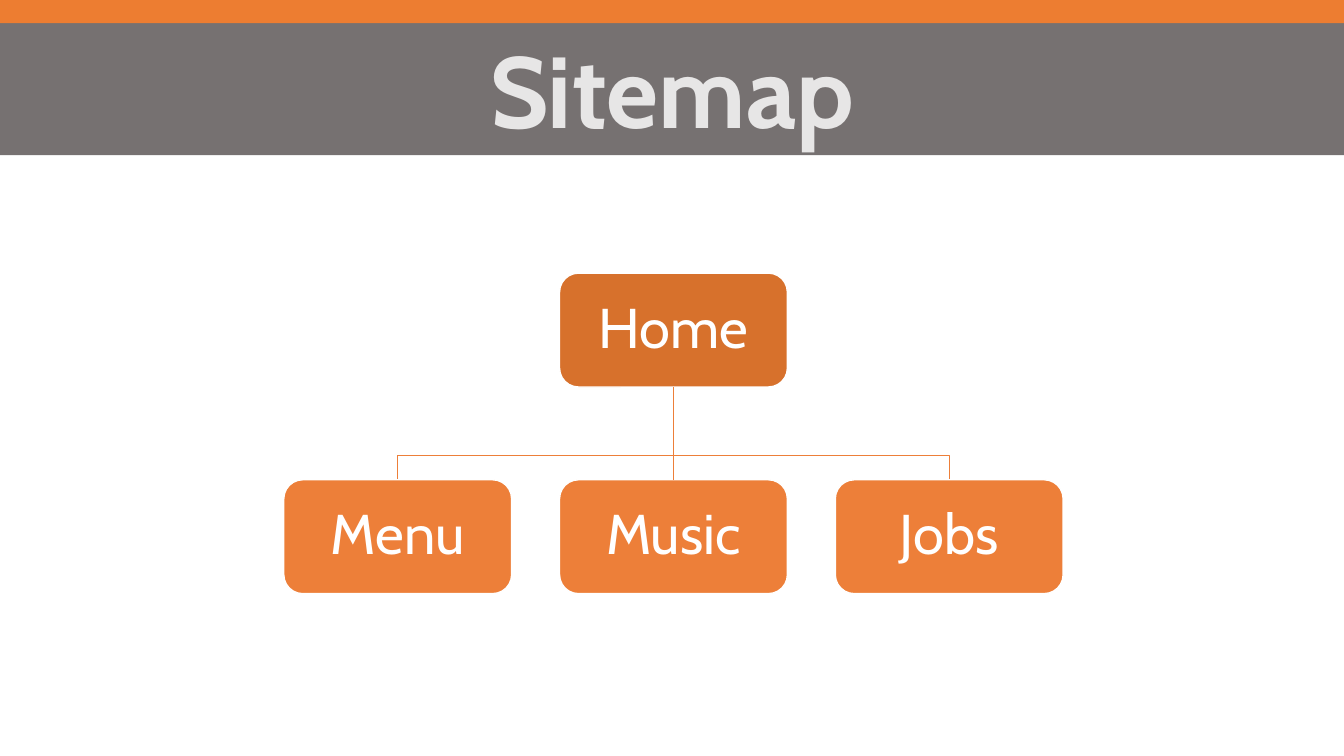
from pptx import Presentation
from pptx.dml.color import RGBColor
from pptx.enum.shapes import MSO_CONNECTOR, MSO_SHAPE
from pptx.enum.text import MSO_ANCHOR, MSO_AUTO_SIZE, PP_ALIGN
from pptx.oxml.ns import qn
from pptx.util import Inches, Pt
from lxml.etree import SubElement

TITLE = "Sitemap"
HOME = "Home"
PAGES = ["Menu", "Music", "Jobs"]
ORANGE, DARK_ORANGE, WHITE = "ED7F39", "D7712C", "FFFFFF"
TITLE_FONT = {"name": "Cabin", "size": Pt(72), "bold": True}
NODE_FONT = {"name": "Cabin", "size": Pt(40)}
NODE_FRAME = {"word_wrap": True, "vertical_anchor": MSO_ANCHOR.MIDDLE,
              "margin_left": Inches(0.08), "margin_right": Inches(0.08),
              "margin_top": Inches(0.08), "margin_bottom": Inches(0.08)}
TITLE_FRAME = {"word_wrap": True, "vertical_anchor": MSO_ANCHOR.TOP,
               "auto_size": MSO_AUTO_SIZE.SHAPE_TO_FIT_TEXT}
SLIDE_W, SLIDE_H = 13.33, 7.5
STRIP_H, TITLE_H = 0.23, 1.31
NODE_W, NODE_H = 2.26, 1.13
CENTER_X, PITCH = 6.68, 2.735
HOME_Y, PAGE_Y, BRANCH_Y = 2.71, 4.76, 4.52


def rgb(value):
    """Turn a hex string into a colour."""
    return RGBColor.from_string(value)


def set_all(target, values):
    """Set several attributes on one object."""
    for name, value in values.items():
        setattr(target, name, value)


def add_box(kind, x, y, w, h, fill, line=None):
    """Add a filled shape, outlined if a line colour is given."""
    s = slide.shapes.add_shape(kind, Inches(x), Inches(y), Inches(w), Inches(h))
    s.shadow.inherit = False
    s.fill.solid()
    s.fill.fore_color.rgb = rgb(fill)
    if line:
        set_line(s, line)
    else:
        s.line.fill.background()
    return s


def set_line(s, color):
    """Give a shape or connector a one-point line."""
    s.line.color.rgb = rgb(color)
    s.line.width = Pt(1)


def write(s, text, frame, font, color, spacing=1.0):
    """Write one centred paragraph into a shape."""
    tf = s.text_frame
    set_all(tf, frame)
    p = tf.paragraphs[0]
    set_all(p, {"alignment": PP_ALIGN.CENTER, "line_spacing": spacing})
    r = p.add_run()
    r.text = text
    set_all(r.font, font)
    r.font.color.rgb = rgb(color)


def add_node(text, x, y, fill):
    """Add a sitemap page centred on x."""
    s = add_box(MSO_SHAPE.ROUNDED_RECTANGLE, x - NODE_W / 2, y, NODE_W, NODE_H, fill, WHITE)
    s.adjustments[0] = 0.1667
    write(s, text, NODE_FRAME, NODE_FONT, WHITE, 0.9)
    return s


def add_branch(x):
    """Add an elbow line from the home page down to a page at x."""
    points = [(CENTER_X, BRANCH_Y), (x, BRANCH_Y), (x, PAGE_Y)]
    fb = slide.shapes.build_freeform(Inches(CENTER_X), Inches(HOME_Y + NODE_H))
    fb.add_line_segments([(Inches(a), Inches(b)) for a, b in points], close=False)
    s = fb.convert_to_shape()
    s.shadow.inherit = False
    s.fill.background()
    set_line(s, ORANGE)


def add_trunk(top, bottom):
    """Join two pages that stand one above the other."""
    s = slide.shapes.add_connector(MSO_CONNECTOR.STRAIGHT, 0, 0, 0, 0)
    s.begin_connect(top, 2)
    s.end_connect(bottom, 0)
    set_line(s, ORANGE)
    SubElement(s._element.spPr, qn("a:effectLst"))


prs = Presentation()
prs.slide_width, prs.slide_height = Inches(SLIDE_W), Inches(SLIDE_H)
slide = prs.slides.add_slide(prs.slide_layouts[6])

page_xs = [CENTER_X + (i - 1) * PITCH for i in range(len(PAGES))]
for x in page_xs:
    if x != CENTER_X:
        add_branch(x)
home = add_node(HOME, CENTER_X, HOME_Y, DARK_ORANGE)
for text, x in zip(PAGES, page_xs):
    page = add_node(text, x, PAGE_Y, ORANGE)
    if x == CENTER_X:
        add_trunk(home, page)

banner = add_box(MSO_SHAPE.RECTANGLE, 0, STRIP_H, SLIDE_W, TITLE_H, "767171")
write(banner, TITLE, TITLE_FRAME, TITLE_FONT, "E7E6E6")
add_box(MSO_SHAPE.RECTANGLE, 0, 0, SLIDE_W, STRIP_H, "ED7D31")

prs.save("out.pptx")
